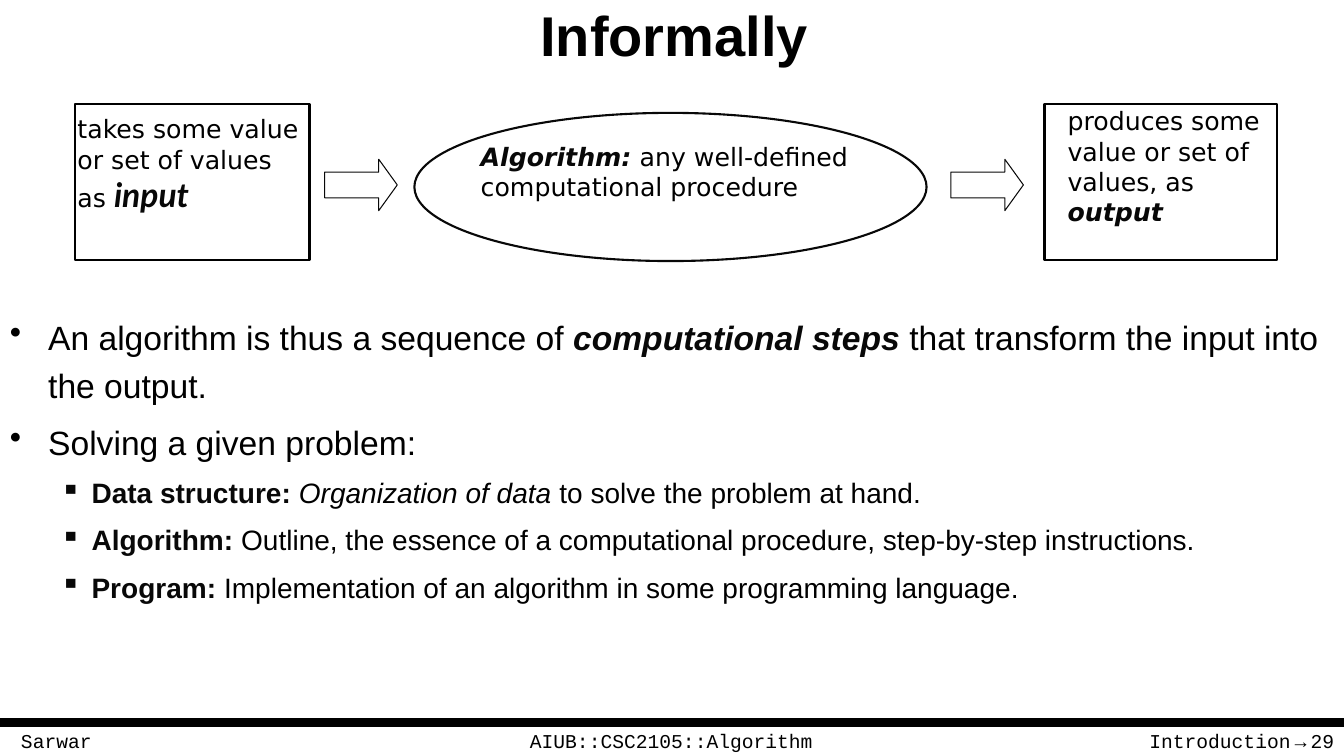
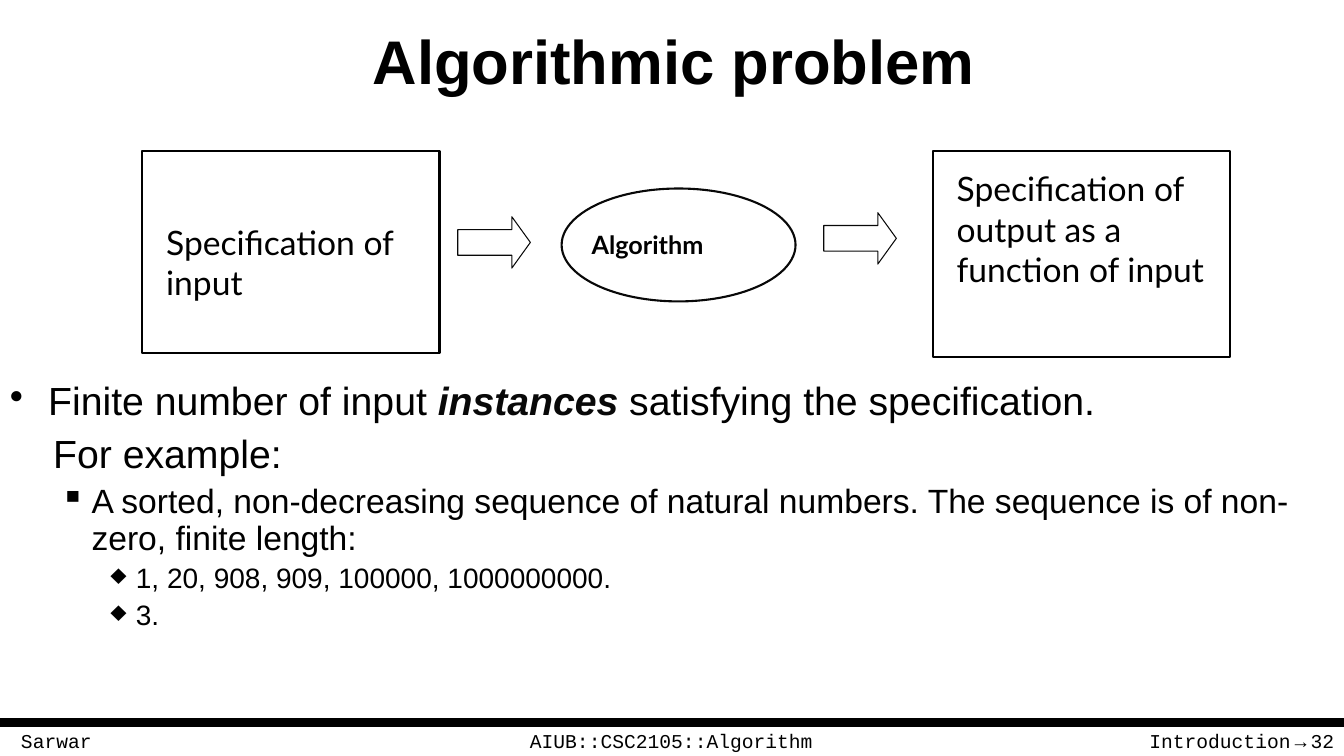
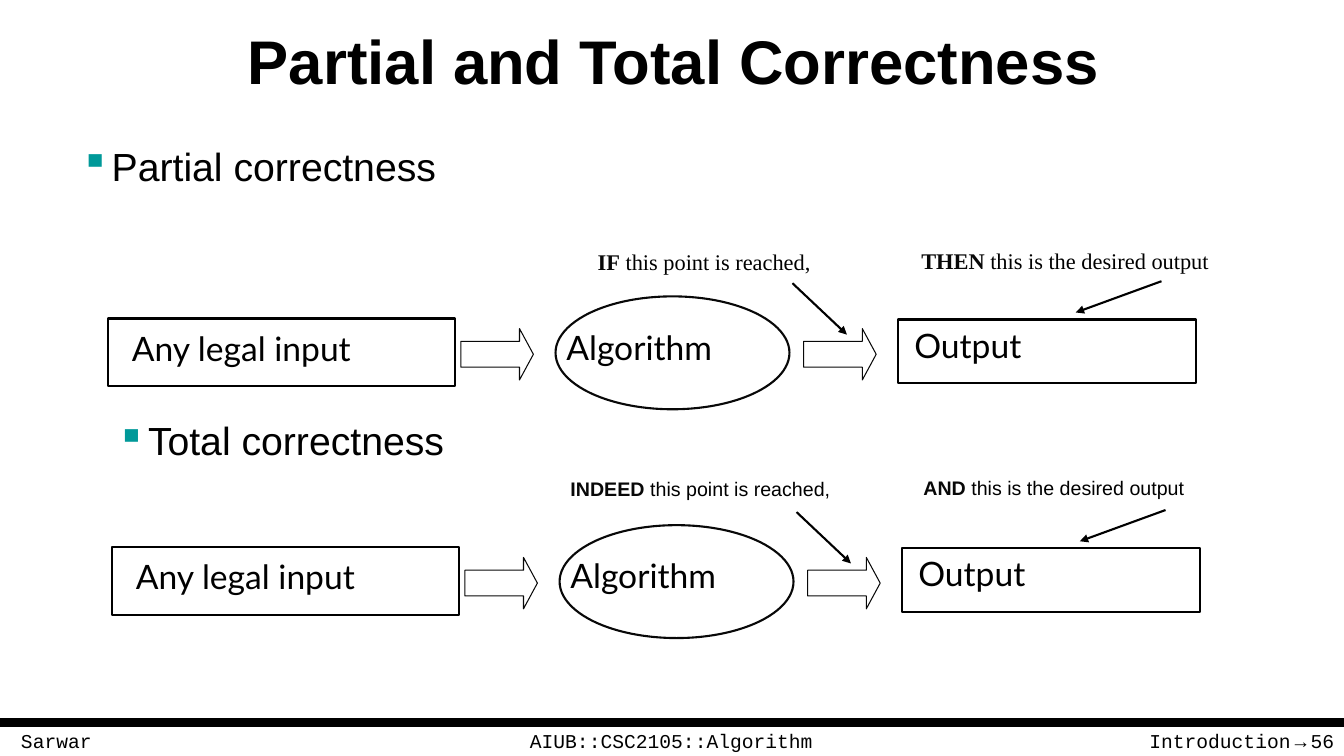
"""Build three lecture slides about algorithms and their correctness."""
from dataclasses import dataclass
from typing import Optional

from lxml.etree import SubElement
from pptx import Presentation
from pptx.dml.color import RGBColor
from pptx.enum.shapes import MSO_CONNECTOR, MSO_SHAPE
from pptx.enum.text import MSO_ANCHOR, PP_ALIGN
from pptx.oxml.ns import qn
from pptx.util import Inches, Pt

COLORS = {"black": "000000", "ink": "080808", "teal": "009999", "white": "FFFFFF"}
SANS, MONO, LABEL, WIDE, SERIF = "Arial", "Courier New", "Lato", "DejaVu Sans", "Times New Roman"
ARROW_SIZE = (0.72, 0.51)
ELLIPSE_SIZE = (2.32, 1.12)
MARGINS = {0: (0.38, -0.38), 1: (0.81, -0.31), 2: (1.25, -0.25)}


@dataclass
class Run:
    text: str
    bold: bool = False
    italic: bool = False
    color: str = "black"
    font: Optional[str] = None
    size: Optional[float] = None


@dataclass
class Item:
    runs: list
    size: float
    level: int = 0
    bullet: str = ""
    bullet_color: str = "black"
    before: float = 0
    spacing: float = 1.0


def color(name):
    return RGBColor.from_string(COLORS[name])


def strong(text, **style):
    return Run(text, bold=True, color="ink", **style)


def write_runs(paragraph, runs, font, size):
    for part in runs:
        run = paragraph.add_run()
        run.text = part.text
        run.font.name = part.font or font
        run.font.size = Pt(part.size or size)
        run.font.bold = part.bold
        run.font.italic = part.italic
        run.font.color.rgb = color(part.color)


def add_frame(slide, left, top, width, height):
    box = slide.shapes.add_textbox(Inches(left), Inches(top), Inches(width), Inches(height))
    box.text_frame.word_wrap = True
    return box.text_frame


def add_text(slide, left, top, width, height, runs, font, size, align=PP_ALIGN.LEFT):
    frame = add_frame(slide, left, top, width, height)
    paragraph = frame.paragraphs[0]
    paragraph.alignment = align
    write_runs(paragraph, runs, font, size)
    return frame


def format_bullet(paragraph, item):
    properties = paragraph._p.get_or_add_pPr()
    margin, indent = MARGINS[item.level] if item.bullet else (0.43, 0)
    properties.set("marL", str(Inches(margin)))
    properties.set("indent", str(Inches(indent)))
    if item.bullet:
        bullet_color = SubElement(properties, qn("a:buClr"))
        SubElement(bullet_color, qn("a:srgbClr"), val=COLORS[item.bullet_color])
        SubElement(properties, qn("a:buChar"), char=item.bullet)
    else:
        SubElement(properties, qn("a:buNone"))


def add_list(slide, left, top, width, height, items):
    frame = add_frame(slide, left, top, width, height)
    for index, item in enumerate(items):
        paragraph = frame.add_paragraph() if index else frame.paragraphs[0]
        paragraph.level = item.level
        format_bullet(paragraph, item)
        paragraph.line_spacing = item.spacing
        paragraph.space_before = Pt(item.before if index else 0)
        write_runs(paragraph, item.runs, SANS, item.size)


def add_outline(slide, kind, left, top, width, height, line="black", weight=1.5):
    shape = slide.shapes.add_shape(kind, Inches(left), Inches(top), Inches(width), Inches(height))
    shape.shadow.inherit = False
    shape.fill.background()
    shape.line.color.rgb = color(line)
    shape.line.width = Pt(weight)
    return shape


def add_box(slide, left, top, width, height):
    add_outline(slide, MSO_SHAPE.RECTANGLE, left, top, width, height)


def add_ellipse(slide, left, top, width, height):
    add_outline(slide, MSO_SHAPE.OVAL, left, top, width, height, "ink")


def add_block_arrow(slide, left, top, head=0.36):
    arrow = add_outline(slide, MSO_SHAPE.RIGHT_ARROW, left, top, *ARROW_SIZE, "ink", 0.75)
    arrow.adjustments[0] = 0.5
    arrow.adjustments[1] = head


def add_line(slide, start, end, weight, pointed=False):
    points = [Inches(value) for value in (*start, *end)]
    connector = slide.shapes.add_connector(MSO_CONNECTOR.STRAIGHT, *points)
    connector.line.color.rgb = color("black")
    connector.line.width = Pt(weight)
    if pointed:
        SubElement(connector.line._get_or_add_ln(), qn("a:tailEnd"), type="triangle")
    SubElement(connector._element.spPr, qn("a:effectLst"))


def add_base(presentation, title, number, title_height=1.15, title_size=44):
    slide = presentation.slides.add_slide(presentation.slide_layouts[6])
    slide.background.fill.solid()
    slide.background.fill.fore_color.rgb = color("white")
    add_line(slide, (0, 7.17), (13.33, 7.17), 6)
    footers = [
        (0.11, 3.11, [Run("Sarwar")], PP_ALIGN.LEFT),
        (4.55, 4.22, [Run("AIUB::CSC2105::Algorithm")], PP_ALIGN.CENTER),
        (10.22, 3.11, [Run("Introduction"), Run("→", font=SANS), Run(str(number))], PP_ALIGN.RIGHT),
    ]
    for left, width, runs, align in footers:
        add_text(slide, left, 7.18, width, 0.52, runs, MONO, 14, align)
    frame = add_text(slide, 0.04, 0.02, 13.29, title_height, [Run(title, bold=True)],
                     SANS, title_size, PP_ALIGN.CENTER)
    frame.vertical_anchor = MSO_ANCHOR.MIDDLE
    return slide


def build_informally(presentation):
    slide = add_base(presentation, "Informally", 29, 0.64, 40)
    add_box(slide, 0.74, 1.03, 2.33, 1.55)
    add_text(slide, 0.67, 1.08, 2.4, 1.1,
             [Run("takes some value or set of values as "),
              strong("input", italic=True, font=LABEL, size=24)], WIDE, 18)
    add_block_arrow(slide, 3.22, 1.58)
    add_ellipse(slide, 4.11, 1.12, 5.08, 1.47)
    add_text(slide, 4.67, 1.35, 4, 0.7,
             [strong("Algorithm:", italic=True), Run(" any well-defined computational procedure")],
             WIDE, 18)
    add_block_arrow(slide, 9.43, 1.58)
    add_box(slide, 10.36, 1.03, 2.31, 1.55)
    add_text(slide, 10.49, 1, 2.29, 1,
             [Run("produces some value or set of values, as "), strong("output", italic=True)],
             WIDE, 18)
    statements = [
        [Run("An algorithm is thus a sequence of "), strong("computational steps", italic=True),
         Run(" that transform the input into the output.")],
        [Run("Solving a given problem:")],
    ]
    terms = [
        [strong("Data structure: "), Run("Organization of data", italic=True),
         Run(" to solve the problem at hand.")],
        [strong("Algorithm:"),
         Run(" Outline, the essence of a computational procedure, step-by-step instructions.")],
        [strong("Program:"), Run(" Implementation of an algorithm in some programming language.")],
    ]
    items = [Item(runs, 24, 0, "•", before=6, spacing=1.2) for runs in statements]
    items += [Item(runs, 20, 1, "▪", "ink", 5, 1.2) for runs in terms]
    add_list(slide, 0, 3.01, 13.33, 3.99, items)


def build_problem(presentation):
    slide = add_base(presentation, "Algorithmic problem", 32)
    add_box(slide, 1.41, 1.5, 2.95, 2)
    add_text(slide, 1.55, 2.15, 2.83, 0.9, [Run("Specification of input")], LABEL, 24)
    add_block_arrow(slide, 4.54, 2.15)
    add_ellipse(slide, 5.57, 1.87, *ELLIPSE_SIZE)
    add_text(slide, 5.77, 2.23, 1.47, 0.4, [Run("Algorithm", bold=True)], LABEL, 18)
    add_block_arrow(slide, 8.17, 2.11)
    add_box(slide, 9.25, 1.5, 2.95, 2.04)
    add_text(slide, 9.39, 1.62, 2.83, 1.3,
             [Run("Specification of output as a function of input")], LABEL, 24)
    sequence = ("A sorted, non-decreasing sequence of natural numbers. "
                "The sequence is of non-zero, finite length:")
    add_list(slide, 0, 3.74, 13.1, 3.19, [
        Item([Run("Finite number of input "), strong("instances", italic=True),
              Run(" satisfying the specification.")], 28, 0, "•", spacing=0.9),
        Item([Run("For example:")], 28, before=7, spacing=0.9),
        Item([Run(sequence)], 24, 1, "▪", before=6, spacing=0.9),
        *[Item([Run(text)], 20, 2, "♦", before=5, spacing=0.9)
          for text in ("1, 20, 908, 909, 100000, 1000000000.", "3.")],
    ])


def add_flow(slide, left, top):
    add_box(slide, left, top + 0.22, 3.44, 0.67)
    add_text(slide, left + 0.14, top + 0.26, 3.23, 0.5, [Run("Any legal input")], LABEL, 24)
    add_block_arrow(slide, left + 3.5, top + 0.32, 0.27)
    add_ellipse(slide, left + 4.44, top, *ELLIPSE_SIZE)
    add_text(slide, left + 4.45, top + 0.25, 1.76, 0.5, [Run("Algorithm")], LABEL, 24)
    add_block_arrow(slide, left + 6.9, top + 0.32, 0.27)
    add_box(slide, left + 7.84, top + 0.23, 2.95, 0.63)
    add_text(slide, left + 7.9, top + 0.23, 2.83, 0.5, [Run("Output")], LABEL, 24)
    add_line(slide, (left + 6.79, top - 0.13), (left + 7.33, top + 0.38), 1.5, True)
    add_line(slide, (left + 10.45, top - 0.15), (left + 9.6, top + 0.16), 1.5, True)


def build_correctness(presentation):
    slide = add_base(presentation, "Partial and Total Correctness", 56)
    for left, top, heading in ((0.2, 1.36, "Partial correctness"), (0.56, 4.08, "Total correctness")):
        add_list(slide, left, top, 12.18, 0.78, [Item([Run(heading)], 28, 1, "▪", "teal")])
    add_flow(slide, 1.07, 2.94)
    add_flow(slide, 1.11, 5.21)
    reached, desired = " this point is reached,", " this is the desired output"
    notes = [
        (5.83, 2.41, "IF", reached, SERIF, 16),
        (9.04, 2.4, "THEN", desired, SERIF, 16),
        (5.56, 4.68, "INDEED", reached, SANS, 14),
        (9.06, 4.67, "AND", desired, SANS, 14),
    ]
    for left, top, keyword, rest, font, size in notes:
        add_text(slide, left, top, 3.1, 0.37, [strong(keyword), Run(rest)], font, size)


def main():
    presentation = Presentation()
    presentation.slide_width = Inches(13.33)
    presentation.slide_height = Inches(7.5)
    build_informally(presentation)
    build_problem(presentation)
    build_correctness(presentation)
    presentation.save("out.pptx")


if __name__ == "__main__":
    main()
